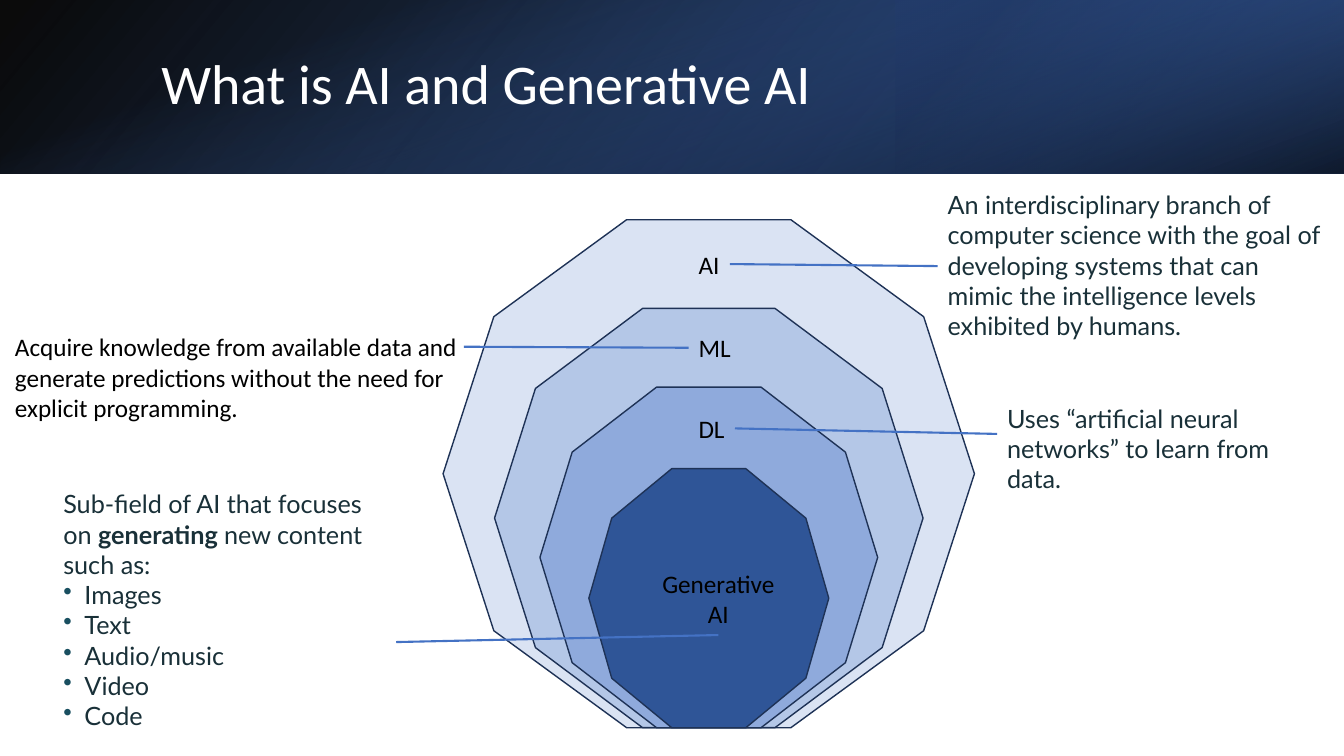
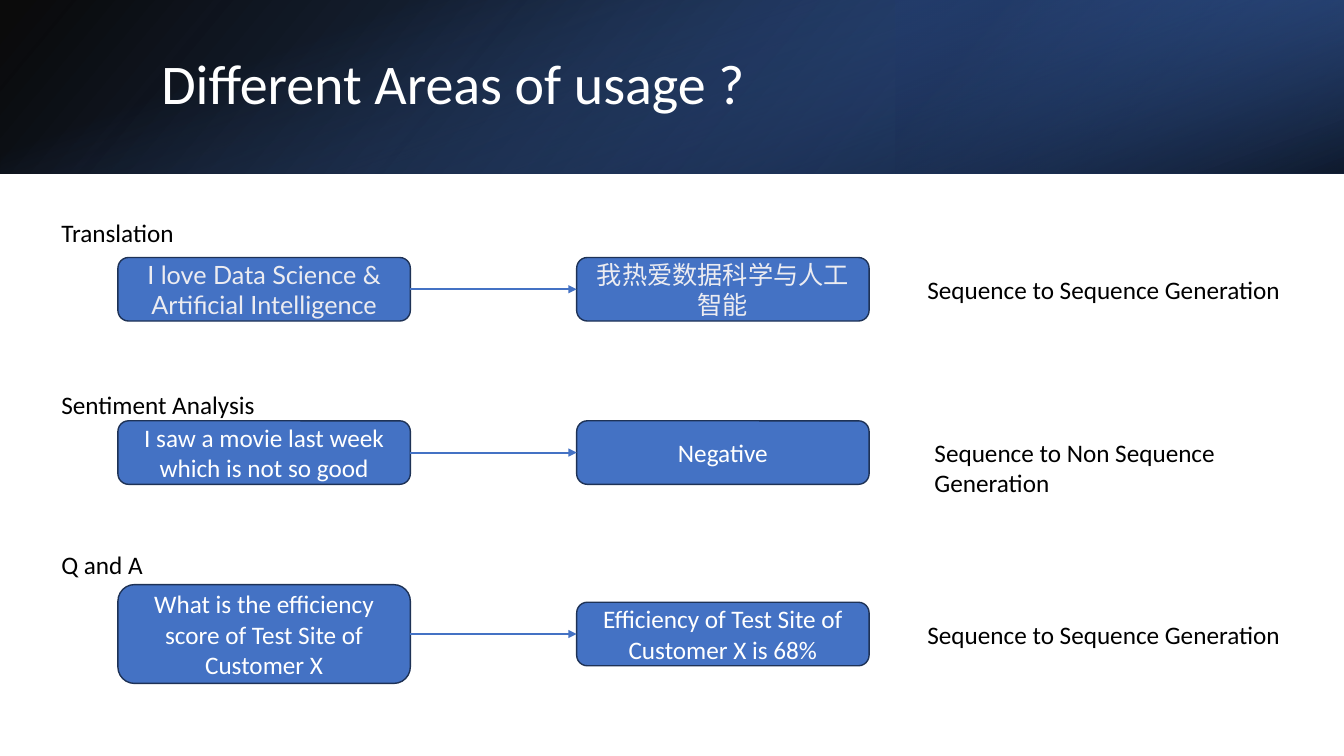
from dataclasses import dataclass

from lxml import etree
from pptx import Presentation
from pptx.dml.color import RGBColor
from pptx.enum.shapes import MSO_CONNECTOR, MSO_SHAPE
from pptx.enum.text import MSO_ANCHOR, PP_ALIGN
from pptx.oxml.ns import qn
from pptx.util import Inches, Pt

RECTANGLE, ROUNDED, DECAGON = MSO_SHAPE.RECTANGLE, MSO_SHAPE.ROUNDED_RECTANGLE, MSO_SHAPE.DECAGON
STRAIGHT = MSO_CONNECTOR.STRAIGHT
LEFT, CENTER = PP_ALIGN.LEFT, PP_ALIGN.CENTER
TOP, MIDDLE = MSO_ANCHOR.TOP, MSO_ANCHOR.MIDDLE
SIDE_LEFT, SIDE_BOTTOM, SIDE_RIGHT = 1, 2, 3

WIDTH, HEIGHT, BAND_HEIGHT = 13.33, 7.5, 1.72
LABEL_HEIGHT = 0.4

BLACK = RGBColor(0x00, 0x00, 0x00)
WHITE = RGBColor(0xFF, 0xFF, 0xFF)
BLUE = RGBColor(0x44, 0x72, 0xC4)
DEEP_BLUE = RGBColor(0x2F, 0x55, 0x97)
NAVY = RGBColor(0x20, 0x38, 0x64)
OUTLINE = RGBColor(0x1E, 0x32, 0x56)
SLATE = RGBColor(0x19, 0x30, 0x38)
TEAL = RGBColor(0x19, 0x4F, 0x60)
PALE_GRAY = RGBColor(0xEC, 0xEC, 0xF1)
LEVEL_1 = RGBColor(0xDA, 0xE3, 0xF3)
LEVEL_2 = RGBColor(0xB4, 0xC7, 0xE7)
LEVEL_3 = RGBColor(0x8F, 0xAA, 0xDC)


@dataclass
class UsageRow:
    heading: str
    heading_top: float
    source: str
    target: str
    result: str
    middle: float
    source_height: float = 0.63
    result_left: float = 9.1
    font: str = "Calibri"
    color: RGBColor = WHITE


USAGE_ROWS = [
    UsageRow("Translation", 2.11, "I love Data Science & Artificial Intelligence",
             "我热爱数据科学与人工智能", "Sequence to Sequence Generation", 2.87,
             font="Lato", color=PALE_GRAY),
    UsageRow("Sentiment Analysis", 3.81, "I saw a movie last week which is not so good",
             "Negative", "Sequence to Non Sequence Generation", 4.49, result_left=9.17),
    UsageRow("Q and A", 5.4, "What is the efficiency score of Test Site of Customer X",
             "Efficiency of Test Site of Customer X is 68%",
             "Sequence to Sequence Generation", 6.29, source_height=0.98),
]


def inches(*lengths):
    return [Inches(length) for length in lengths]


def style_text(frame, font="Calibri", color=BLACK, size=18, alignment=LEFT, anchor=TOP):
    frame.vertical_anchor = anchor
    for paragraph in frame.paragraphs:
        paragraph.alignment = alignment
        for run in paragraph.runs:
            run.font.name = font
            run.font.size = Pt(size)
            run.font.color.rgb = color


def add_text(slide, box, text, wrap=True, **style):
    text_box = slide.shapes.add_textbox(*inches(*box))
    text_box.text_frame.word_wrap = wrap
    text_box.text_frame.text = text
    style_text(text_box.text_frame, **style)
    return text_box


def add_outlined_shape(slide, kind, box, fill):
    shape = slide.shapes.add_shape(kind, *inches(*box))
    shape.shadow.inherit = False
    shape.fill.solid()
    shape.fill.fore_color.rgb = fill
    shape.line.color.rgb = OUTLINE
    shape.line.width = Pt(1)
    return shape


def add_line(slide, start, end, begin=None, finish=None, arrow=False):
    """Draw a line; begin and finish are optional (shape, side) joints."""
    line = slide.shapes.add_connector(STRAIGHT, *inches(*start, *end))
    line.line.color.rgb = BLUE
    line.line.width = Pt(1.5)
    if arrow:
        etree.SubElement(line.line._get_or_add_ln(), qn("a:tailEnd"), type="triangle")
    etree.SubElement(line._element.spPr, qn("a:effectLst"))
    if begin:
        line.begin_connect(*begin)
    if finish:
        line.end_connect(*finish)


def add_bullet(paragraph, color):
    properties = paragraph._p.get_or_add_pPr()
    properties.set("marL", str(Inches(0.21)))
    properties.set("indent", str(-Inches(0.21)))
    bullet_color = etree.SubElement(properties, qn("a:buClr"))
    etree.SubElement(bullet_color, qn("a:srgbClr"), val=str(color))
    etree.SubElement(properties, qn("a:buChar"), char="•")


def add_gradient(slide, box, angle, stops, rotation=0, flip=False):
    """Add a rectangle whose stops are (position, colour, opacity in percent)."""
    shape = slide.shapes.add_shape(RECTANGLE, *inches(*box))
    shape.shadow.inherit = False
    shape.line.fill.background()
    shape.rotation = rotation
    if flip:
        shape._element.spPr.xfrm.set("flipH", "1")
    shape.fill.gradient()
    shape.fill.gradient_angle = 360 - angle
    for stop, (position, color, opacity) in zip(shape.fill.gradient_stops, stops):
        stop.position = position
        stop.color.rgb = color
    colors = shape._element.spPr.iterfind(".//" + qn("a:gs") + "/" + qn("a:srgbClr"))
    for element, (_, _, opacity) in zip(colors, stops):
        etree.SubElement(element, qn("a:alpha"), val=str(opacity * 1000))
    return shape


def prepare_layout(layout, slide):
    """Move a header band, drawn on the slide, behind the layout's title."""
    third = WIDTH / 3
    turned_left = (WIDTH - BAND_HEIGHT) / 2
    layers = [
        add_gradient(slide, (0, 0, WIDTH, BAND_HEIGHT), 140,
                     [(0, BLACK, 96), (1, DEEP_BLUE, 100)], flip=True),
        add_gradient(slide, (WIDTH - third, 0, third, BAND_HEIGHT), 320,
                     [(0.19, NAVY, 68), (1, BLUE, 79)], rotation=180, flip=True),
        add_gradient(slide, (turned_left, -turned_left, BAND_HEIGHT, WIDTH), 340,
                     [(0.23, BLUE, 0), (0.99, BLACK, 74)], rotation=90),
    ]
    for position, layer in enumerate(layers, start=2):
        layout.shapes._spTree.insert(position, layer._element)
    title = layout.placeholders[0]
    title.left, title.top, title.width, title.height = inches(1.5, 0.38, 10.98, 0.96)


def set_title(slide, text):
    frame = slide.shapes.title.text_frame
    frame.text = text
    frame.paragraphs[0].line_spacing = 0.9
    style_text(frame, color=WHITE, size=40, anchor=MIDDLE)


def draw_nested_decagons(slide, center, bottom):
    levels = [(5.27, 5.04, LEVEL_1), (4.25, 4.16, LEVEL_2),
              (3.35, 3.38, LEVEL_3), (2.38, 2.57, DEEP_BLUE)]
    for width, height, color in levels:
        box = (center - width / 2, bottom - height, width, height)
        add_outlined_shape(slide, DECAGON, box, color)


def add_generative_note(slide, box):
    note = add_text(slide, box, "Sub-field of AI that focuses on \nImages\nText\nAudio/music\nVideo\nCode")
    intro, *items = note.text_frame.paragraphs
    for item in items:
        add_bullet(item, TEAL)
    bold_run = intro.add_run()
    bold_run.text = "generating "
    bold_run.font.bold = True
    intro.add_run().text = "new content such as:"
    style_text(note.text_frame, font="Lato", color=SLATE)


def build_definition_slide(slide):
    set_title(slide, "What is AI and Generative AI")
    draw_nested_decagons(slide, 7.03, 7.22)

    label_left = 6.83
    ai_label, ml_label, dl_label = [
        add_text(slide, (label_left, top, width, LABEL_HEIGHT), text, wrap=False)
        for text, top, width in [("AI", 2.42, 0.41), ("ML", 3.25, 0.52), ("DL", 4.05, 0.46)]]
    generative_label = add_text(slide, (6.46, 5.59, 1.33, 0.71), "Generative\nAI",
                                wrap=False, alignment=CENTER)

    ai_note = add_text(
        slide, (9.3, 1.83, 3.95, 1.62),
        "An interdisciplinary branch of computer science with the goal of developing "
        "systems that can mimic the intelligence levels exhibited by humans.",
        font="Lato", color=SLATE)
    add_text(
        slide, (0.05, 3.24, 4.78, 1.01),
        "Acquire knowledge from available data and generate predictions "
        "without the need for explicit programming.")
    dl_note = add_text(slide, (9.89, 3.95, 3.36, 0.71),
                       "Uses “artificial neural networks” to learn from data.",
                       font="Lato", color=SLATE)
    add_generative_note(slide, (0.53, 4.8, 3.4, HEIGHT - 4.8))

    add_line(slide, (7.24, 2.62), (9.3, 2.64), (ai_label, SIDE_RIGHT), (ai_note, SIDE_LEFT))
    add_line(slide, (label_left, 3.45), (4.6, 3.44), (ml_label, SIDE_LEFT))
    add_line(slide, (7.29, 4.25), (9.89, 4.3), (dl_label, SIDE_RIGHT), (dl_note, SIDE_LEFT))
    add_line(slide, (7.12, 6.3), (3.93, 6.37), (generative_label, SIDE_BOTTOM))


def add_step(slide, left, height, text, row):
    box = (left, row.middle - height / 2, 2.9, height)
    step = add_outlined_shape(slide, ROUNDED, box, BLUE)
    step.text_frame.word_wrap = True
    step.text_frame.text = text
    style_text(step.text_frame, row.font, row.color, alignment=CENTER, anchor=MIDDLE)
    return step


def draw_usage_row(slide, row):
    add_text(slide, (0.51, row.heading_top, 2.14, LABEL_HEIGHT), row.heading)
    source = add_step(slide, 1.17, row.source_height, row.source, row)
    target = add_step(slide, 5.72, 0.63, row.target, row)
    add_line(slide, (4.07, row.middle), (5.72, row.middle),
             (source, SIDE_RIGHT), (target, SIDE_LEFT), arrow=True)
    result_box = (row.result_left, row.middle - LABEL_HEIGHT / 2,
                  WIDTH - row.result_left, LABEL_HEIGHT)
    add_text(slide, result_box, row.result, wrap=False)


def build_usage_slide(slide):
    set_title(slide, "Different Areas of usage ?")
    for row in USAGE_ROWS:
        draw_usage_row(slide, row)


def main():
    presentation = Presentation()
    presentation.slide_width, presentation.slide_height = inches(WIDTH, HEIGHT)
    layout = presentation.slide_layouts.get_by_name("Title Only")
    definition_slide = presentation.slides.add_slide(layout)
    prepare_layout(layout, definition_slide)
    build_definition_slide(definition_slide)
    build_usage_slide(presentation.slides.add_slide(layout))
    presentation.save("out.pptx")


if __name__ == "__main__":
    main()
